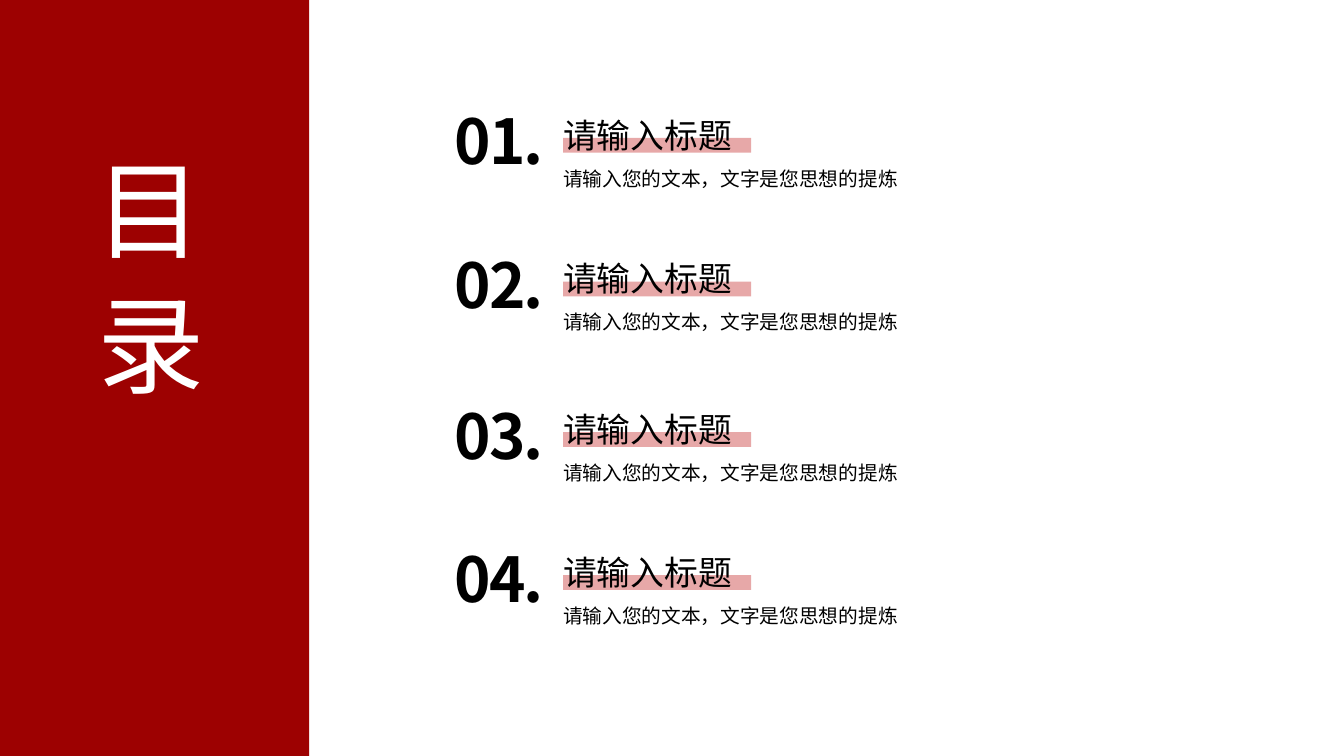
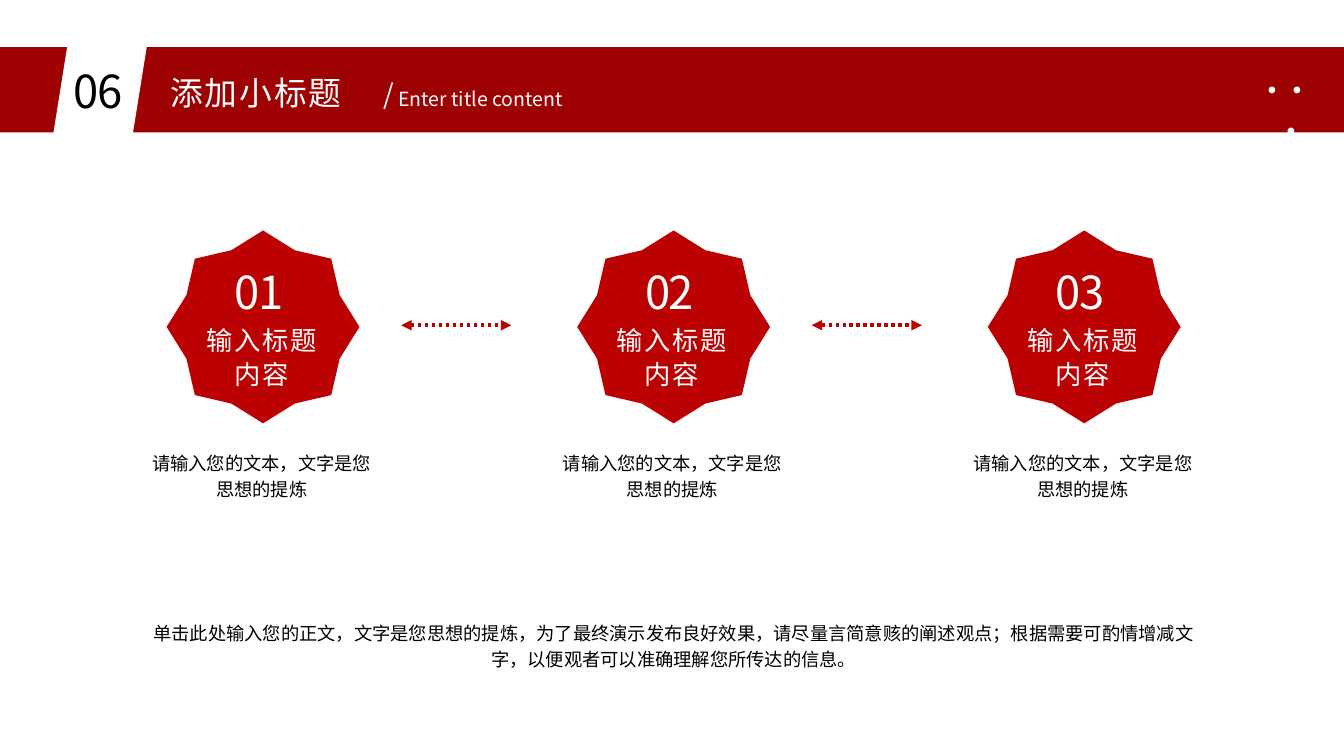
"""Build a contents slide and a three-step slide on a grid of 80 by 45 cells."""
from dataclasses import dataclass

from lxml import etree
from pptx import Presentation, util as u
from pptx.dml.color import RGBColor as Rgb
from pptx.enum import dml, shapes, text
from pptx.oxml.ns import qn


@dataclass(frozen=True)
class Style:
    """Hold the type values of one kind of text."""
    size: float
    lead: float
    color: str = "000000"
    space: float = 0
    bold: bool = False
    align: text.PP_ALIGN = text.PP_ALIGN.LEFT
    face: str = "Noto Sans CJK SC"


class Theme:
    """Keep the colours, sizes and type styles of the deck."""
    wide, high, cols = 20, 11.25, 80
    dark, red, white = "9D0101", "BB0101", "FFFFFF"
    mid, right = text.PP_ALIGN.CENTER, text.PP_ALIGN.RIGHT
    cover = Style(114.9, 144.8, white, 4.4, align=mid, face="Calibri")
    title = Style(35.1, 49.1, white, 2.2)
    slash = Style(29.2, 41, white, 1.8)
    under = Style(20.9, 29.2, white)
    dots = Style(34.1, 43, white, -6.8, align=right)
    page = Style(48.6, 71, space=-1.7)
    step = Style(48.6, 71, white, -1.7)
    label = Style(28.2, 36.8, white, 1.8, align=mid)
    body = Style(19.6, 27.6, align=mid)
    index = Style(66.3, 96.9, space=-2.3, bold=True)
    head = Style(36.2, 50.7)
    note = Style(21.1, 29.4)


NOTE = "请输入您的文本，文字是您思想的提炼"


def cells(*nums):
    """Turn counts of grid cells into lengths."""
    return [u.Inches(n * Theme.wide / Theme.cols) for n in nums]


def apply(item, form):
    """Set each named value on an item."""
    for name, value in form.items():
        setattr(item, name, value)


def write(box, words, style):
    """Fill a text shape with words in one style."""
    frame = box.text_frame
    frame.text = words
    apply(frame, dict(
        margin_left=0, margin_top=0, margin_right=0, margin_bottom=0,
        word_wrap=True, vertical_anchor=text.MSO_ANCHOR.TOP,
        auto_size=text.MSO_AUTO_SIZE.SHAPE_TO_FIT_TEXT))
    for para in frame.paragraphs:
        apply(para, dict(alignment=style.align, line_spacing=u.Pt(style.lead),
                         space_before=u.Pt(0), space_after=u.Pt(0)))
        for run in para.runs:
            apply(run.font, dict(size=u.Pt(style.size), bold=style.bold,
                                 name=style.face))
            run.font.color.rgb = Rgb.from_string(style.color)
            props = run.font._element
            props.set("spc", str(round(style.space * 100)))
            etree.SubElement(props, qn("a:ea"), typeface=style.face)


def label(slide, area, words, style):
    """Add a text box over an area of the grid."""
    write(slide.shapes.add_textbox(*cells(*area)), words, style)


def title(slide, area, words, style):
    """Place the slide's title in front of what is already drawn."""
    box = slide.shapes.title
    apply(box, dict(zip(("left", "top", "width", "height"), cells(*area))))
    write(box, words, style)
    slide.shapes.element.append(box.element)


def block(slide, area, color, kind=shapes.MSO_SHAPE.RECTANGLE):
    """Add a plain filled shape without an outline."""
    form = slide.shapes.add_shape(kind, *cells(*area))
    form.shadow.inherit = False
    form.fill.solid()
    form.fill.fore_color.rgb = Rgb.from_string(color)
    form.line.fill.background()
    return form


def mark(slide, area):
    """Add a pale red stripe under a heading."""
    form = block(slide, area, Theme.red)
    tint = form.element.spPr.find(".//" + qn("a:srgbClr"))
    etree.SubElement(tint, qn("a:alpha"), val="34000")


def arrow(slide, left, top, width):
    """Add a dotted level line with a head at both ends."""
    link = slide.shapes.add_connector(
        shapes.MSO_CONNECTOR.STRAIGHT, *cells(left, top, left + width, top))
    link.line.color.rgb = Rgb.from_string(Theme.red)
    apply(link.line, dict(width=u.Pt(3.75),
                          dash_style=dml.MSO_LINE.ROUND_DOT))
    props = link.element.spPr
    for end in ("a:headEnd", "a:tailEnd"):
        etree.SubElement(props.find(qn("a:ln")), qn(end), type="triangle")
    etree.SubElement(props, qn("a:effectLst"))


def entry(slide, num, top):
    """Add one numbered line of the contents."""
    left = 33.52
    mark(slide, (left, top + 1.8, 11.2, 0.88))
    label(slide, (27.08, top - 1.24, 6.72, 5.44), f"{num:02}.", Theme.index)
    label(slide, (left, top, 12.08, 2.84), "请输入标题", Theme.head)
    label(slide, (left, top + 3.28, 31.84, 1.64), NOTE, Theme.note)


def banner(slide, num, words, under):
    """Add the title band with its slanted page slot."""
    block(slide, (0, 2.8, 80, 5.08), Theme.dark)
    block(slide, (3.76, 0.32, 4.68, 8.28), Theme.white).rotation = 9.1
    label(slide, (4.4, 3.08, 3.4, 4), num, Theme.page)
    label(slide, (73.2, 4.12, 4.6, 2.4), "···", Theme.dots)
    title(slide, (10.12, 3.92, 12.96, 2.76), words, Theme.title)
    label(slide, (22.84, 4.28, 1.28, 2.16), "/", Theme.slash)
    label(slide, (23.72, 4.96, 13.48, 1.64), under, Theme.under)


def badge(slide, num, left):
    """Add one numbered star with the text below it."""
    star = block(slide, (left, 13.72, 11.48, 11.48), Theme.red,
                 shapes.MSO_SHAPE.STAR_8_POINT)
    star.adjustments[0] = 0.43
    label(slide, (left + 4.04, 15, 3.4, 4), f"{num:02}", Theme.step)
    label(slide, (left + 0.44, 19.12, 10.4, 4), "输入标题\n内容", Theme.label)
    label(slide, (left - 1.4, 26.68, 14.12, 3.08), NOTE, Theme.body)


def contents(slide):
    """Draw the contents slide."""
    block(slide, (0, 0, 18.4, 45), Theme.dark)
    title(slide, (5.16, 8.12, 7.64, 15.08), "目录", Theme.cover)
    for num, top in enumerate((6.4, 14.96, 23.92, 32.44), 1):
        entry(slide, num, top)


def steps(slide):
    """Draw the slide of three linked steps."""
    banner(slide, "06", "添加小标题", "Enter title content")
    first, gap, count = 9.92, 24.44, 3
    for num in range(count):
        left = first + num * gap
        badge(slide, num + 1, left)
        if num < count - 1:
            arrow(slide, left + 13.96, 19.36, 6.56)
    label(slide, (8.6, 36.8, 63, 3.08),
          "单击此处输入您的正文，文字是您思想的提炼，为了最终演示发布良好效果，"
          "请尽量言简意赅的阐述观点；根据需要可酌情增减文字，"
          "以便观者可以准确理解您所传达的信息。", Theme.body)


def main():
    """Build and save the deck."""
    deck = Presentation()
    apply(deck, dict(slide_width=u.Inches(Theme.wide),
                     slide_height=u.Inches(Theme.high)))
    for draw in (contents, steps):
        draw(deck.slides.add_slide(deck.slide_layouts[5]))
    deck.save("out.pptx")


if __name__ == "__main__":
    main()
